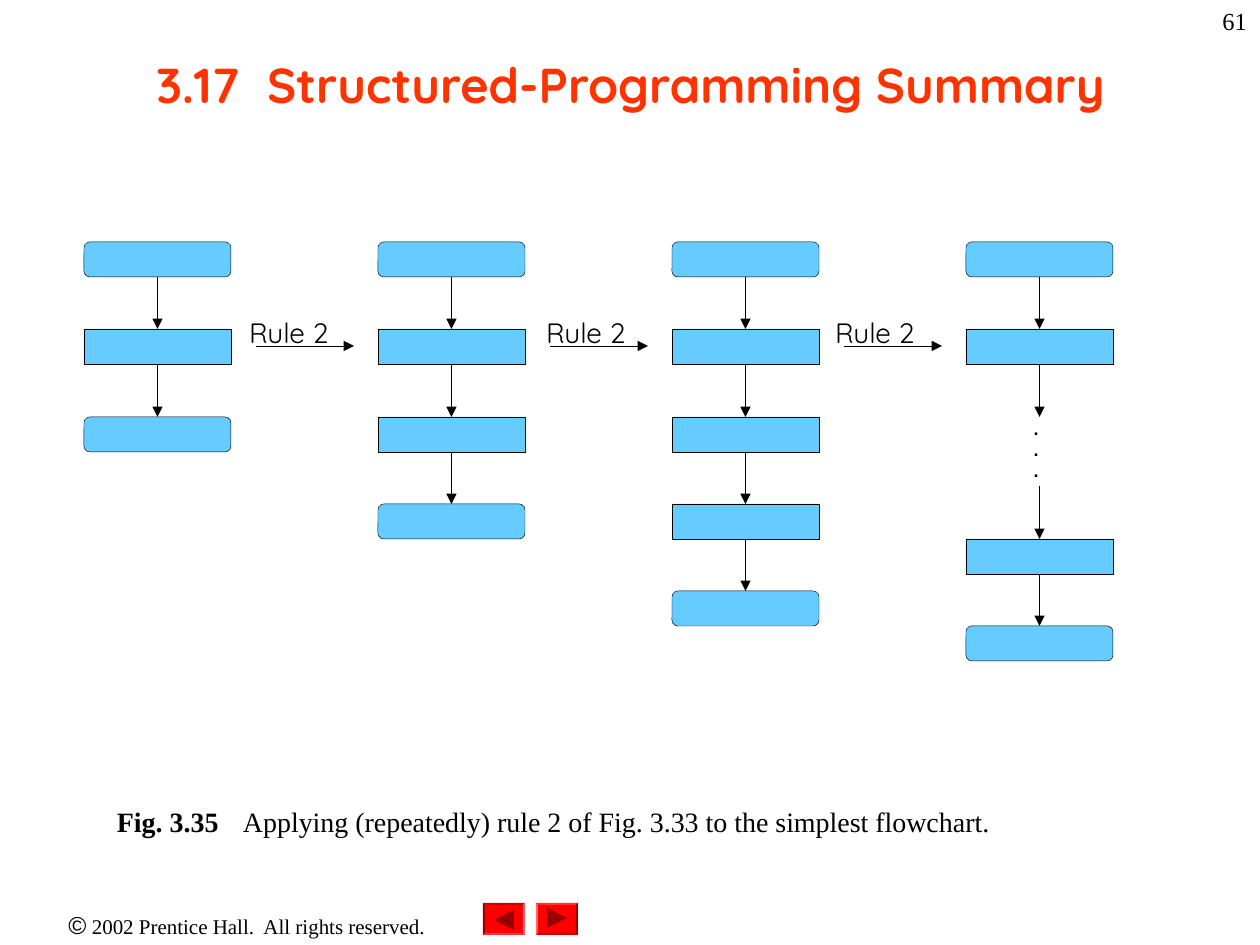
from itertools import pairwise
from typing import NamedTuple

from lxml import etree
from pptx import Presentation
from pptx import util as u
from pptx.dml.color import RGBColor
from pptx.enum import shapes, text
from pptx.oxml.ns import qn

SCALE = 914400 / 126  # EMU per px
COLORS = {
    "black": "000000", "title": "FF3300", "box": "66CCFF", "button": "FF0000",
    "lighter": "FF6666", "light": "FF3333", "dark": "CC0000", "darker": "990000",
}
SERIF, SANS = "Times New Roman", "Quicksand"
BOX_W, BOX_H = 147, 35
COLUMN_X, COLUMN_STEP = 84, 294
BEVEL = 2


class Flow(NamedTuple):
    """One vertical chain: tops of its boxes, and whether it starts or ends round."""
    column: int
    tops: list[int]
    round_first: bool = True
    round_last: bool = True


class Run(NamedTuple):
    text: str
    size: float
    font: str
    bold: bool = False


FLOWS = [
    Flow(0, [242, 329, 417]),
    Flow(1, [242, 329, 417, 504]),
    Flow(2, [242, 329, 417, 504, 591]),
    Flow(3, [242, 329], round_last=False),
    Flow(3, [539, 626], round_first=False),
]
RULE_LABEL_X = [249, 546, 835]


def px(n: float) -> int:
    return u.Emu(round(n * SCALE))


def rgb(name: str) -> RGBColor:
    return RGBColor.from_string(COLORS[name])


def put_text(sp, paragraphs: list[list[Run]], *, color="black", align="LEFT",
             anchor="TOP", inset=(13, 6), wrap=True) -> None:
    tf = sp.text_frame
    tf.word_wrap = wrap
    tf.auto_size = text.MSO_AUTO_SIZE.NONE
    tf.vertical_anchor = getattr(text.MSO_ANCHOR, anchor)
    tf.margin_left = tf.margin_right = px(inset[0])
    tf.margin_top = tf.margin_bottom = px(inset[1])
    for i, runs in enumerate(paragraphs):
        p = tf.paragraphs[0] if i == 0 else tf.add_paragraph()
        p.alignment = getattr(text.PP_ALIGN, align)
        for run in runs:
            r = p.add_run()
            r.text = run.text
            r.font.size, r.font.name, r.font.bold = u.Pt(run.size), run.font, run.bold
            r.font.color.rgb = rgb(color)


def add_text(s, x: int, y: int, w: int, h: int, paragraphs: list[list[Run]], **fmt):
    sp = s.shapes.add_textbox(px(x), px(y), px(w), px(h))
    put_text(sp, paragraphs, **fmt)
    return sp


def add_box(s, x: int, y: int, rounded: bool):
    kind = shapes.MSO_SHAPE.ROUNDED_RECTANGLE if rounded else shapes.MSO_SHAPE.RECTANGLE
    sp = s.shapes.add_shape(kind, px(x), px(y), px(BOX_W), px(BOX_H))
    sp.shadow.inherit = False
    sp.fill.solid()
    sp.fill.fore_color.rgb = rgb("box")
    sp.line.color.rgb = rgb("black")
    sp.line.width = u.Pt(0.25)
    return sp


def add_arrow(s, x1: float, y1: float, x2: float, y2: float, start=None, end=None) -> None:
    """Arrow between two points, joined to the bottom of start and the top of end."""
    c = s.shapes.add_connector(shapes.MSO_CONNECTOR.STRAIGHT, px(x1), px(y1), px(x2), px(y2))
    if start is not None:
        c.begin_connect(start, 2)
    if end is not None:
        c.end_connect(end, 0)
    c.line.color.rgb = rgb("black")
    c.line.width = u.Pt(0.25)
    etree.SubElement(c.line._get_or_add_ln(), qn("a:tailEnd"), type="triangle")
    etree.SubElement(c._element.spPr, qn("a:effectLst"))


def add_flow(s, flow: Flow) -> list:
    x = COLUMN_X + COLUMN_STEP * flow.column
    last = len(flow.tops) - 1
    boxes = [
        add_box(s, x, y, (i == 0 and flow.round_first) or (i == last and flow.round_last))
        for i, y in enumerate(flow.tops)
    ]
    mid = x + BOX_W / 2
    for (a, b), (ya, yb) in zip(pairwise(boxes), pairwise(flow.tops)):
        add_arrow(s, mid, ya + BOX_H, mid, yb, a, b)
    return boxes


def add_polygon(s, points: list[tuple[int, int]], color: str) -> None:
    fb = s.shapes.build_freeform(*points[0], scale=SCALE)
    fb.add_line_segments(points[1:], close=True)
    sp = fb.convert_to_shape()
    sp.shadow.inherit = False
    sp.fill.solid()
    sp.fill.fore_color.rgb = rgb(color)
    sp.line.fill.background()


def add_button(s, x: int, y: int, back: bool) -> None:
    """Bevelled button; the back button is the forward one turned half round."""
    w, h = 42, 32

    def place(points):
        return [(x + w - a, y + h - b) if back else (x + a, y + b) for a, b in points]

    outer = [(0, 0), (w, 0), (w, h), (0, h)]
    inner = [(BEVEL, BEVEL), (w - BEVEL, BEVEL), (w - BEVEL, h - BEVEL), (BEVEL, h - BEVEL)]
    add_polygon(s, place(outer), "button")
    for i, color in enumerate(["light", "darker", "dark", "lighter"]):
        j = (i + 1) % 4
        add_polygon(s, place([outer[i], outer[j], inner[j], inner[i]]), color)
    add_polygon(s, place([(11, 5), (31, 15), (11, 25)]), "darker")


def main() -> None:
    prs = Presentation()
    prs.slide_width, prs.slide_height = px(1260), px(945)
    s = prs.slides.add_slide(prs.slide_layouts[5])

    # Title and page number
    title = s.shapes.title
    title.left, title.top, title.width, title.height = map(px, (95, 10, 1071, 147))
    put_text(title, [[Run("3.17  Structured-Programming Summary", 28, SANS, True)]],
             color="title", align="CENTER", anchor="MIDDLE")
    add_text(s, 998, 0, 262, 63, [[Run("61", 14, SERIF)]], align="RIGHT")

    # Flowcharts, the last one broken by dots
    *_, upper, lower = [add_flow(s, flow) for flow in FLOWS]
    mid = COLUMN_X + 3 * COLUMN_STEP + BOX_W / 2
    add_arrow(s, mid, 364, mid, 417, start=upper[-1])
    add_arrow(s, mid, 486, mid, 539, end=lower[0])
    add_text(s, 1031, 418, 25, 76, [[Run(".", 10, "Courier New", True)]] * 3, inset=(0, 0))

    # Rule arrows between the columns
    for i, x in enumerate(RULE_LABEL_X):
        start = 256 + COLUMN_STEP * i
        add_arrow(s, start, 346, start + 98, 346)
        add_text(s, x, 316, 122, 24, [[Run("Rule 2", 16, SANS)]], inset=(0, 0))

    # Caption
    add_text(s, 104, 799, 956, 47, [[
        Run("Fig. 3.35\t", 16, SERIF, True),
        Run("Applying (repeatedly) rule 2 of Fig.\u00a03.33 to the simplest flowchart.", 16, SERIF),
    ]])

    # Footer
    add_text(s, 0, 904, 494, 42, [[
        Run("©", 14, "Arial"),
        Run(" 2002 Prentice Hall.  All rights reserved.", 12, SERIF),
    ]], align="CENTER")
    add_button(s, 483, 903, back=True)
    add_button(s, 536, 903, back=False)

    prs.save("out.pptx")


if __name__ == "__main__":
    main()
